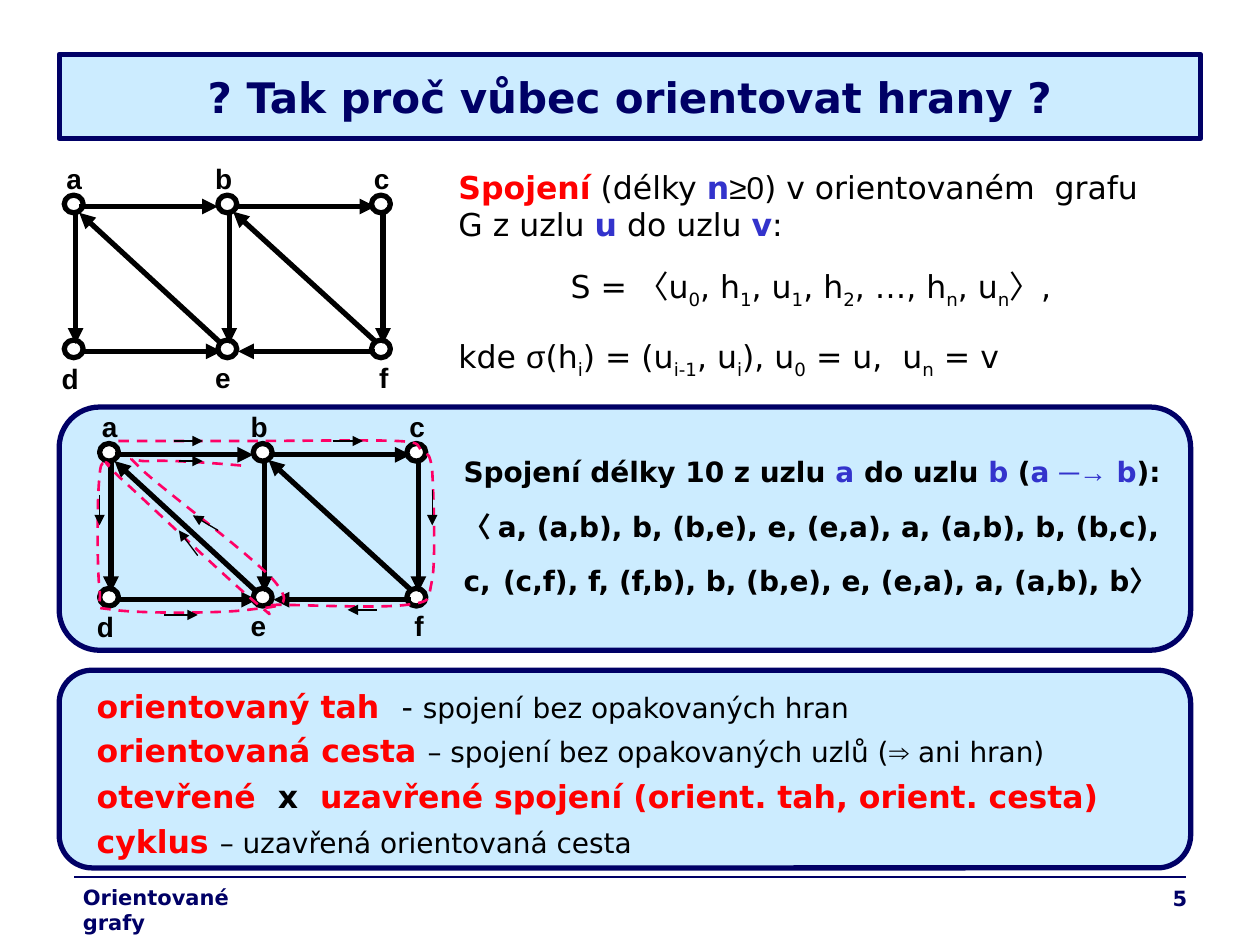
from typing import NamedTuple

from lxml.etree import SubElement
from pptx import Presentation
from pptx.dml.color import RGBColor
from pptx.enum.dml import MSO_LINE
from pptx.enum.shapes import MSO_CONNECTOR, MSO_SHAPE
from pptx.enum.text import MSO_ANCHOR, MSO_AUTO_SIZE, PP_ALIGN
from pptx.oxml.ns import qn
from pptx.util import Pt

COLORS = {"navy": "000066", "sky": "CCECFF", "red": "FF0000", "blue": "3333CC",
          "pink": "FF0066", "black": "000000", "white": "FFFFFF"}


class Run(NamedTuple):
    text: str
    color: str = "black"
    bold: bool = False
    size: float = 18
    font: str = "DejaVu Sans"


class Para(NamedTuple):
    runs: list[Run]
    before: float = 0
    after: float = 0
    align: PP_ALIGN = PP_ALIGN.LEFT


class Edge(NamedTuple):
    x1: float
    y1: float
    x2: float
    y2: float


class Label(NamedTuple):
    name: str
    x: float
    y: float


COLUMN_STEP, ROW_STEP = 87.8, 82.8
NODE_WIDTH, NODE_HEIGHT = 10.8, 10.1
GRAPH_EDGES = [
    Edge(3.2, 1.4, 82.4, 1.4), Edge(5.4, 84.2, 84.6, 84.2), Edge(94, 1.4, 172.4, 1.4),
    Edge(176.8, 5, 176.8, 79.9), Edge(88.9, 5, 88.9, 79.9), Edge(1.1, 5, 1.1, 79.9),
    Edge(172.4, 84.2, 94, 84.2), Edge(84.6, 79.9, 3.2, 5), Edge(172.4, 78.5, 91.1, 4.3),
]
GRAPH_LABELS = [
    Label("a", -11.2, -28.1), Label("b", 73.8, -28.1), Label("c", 164.5, -28.1),
    Label("d", -14, 86.4), Label("e", 73.8, 85.7), Label("f", 167.4, 85.7),
]
WALK_START = (67.7, 252)
WALK_CURVES = [
    (92.9, 252), (118.1, 252), (144.7, 252),
    (170.6, 252), (211, 251.3), (226.8, 252),
    (242.6, 252.7), (237.6, 254.9), (241.2, 257.8),
    (244.1, 260.6), (245.5, 257), (247, 269.3),
    (247.7, 281.5), (249.1, 319), (247, 331.2),
    (244.1, 344.2), (247, 343.4), (232.6, 345.6),
    (217.4, 347.8), (172.8, 345.6), (158.4, 345.6),
    (144.7, 345.6), (162.7, 357.8), (147.6, 345.6),
    (132.5, 333.4), (82.1, 285.1), (67.7, 272.2),
    (54, 258.5), (64.1, 266.4), (62.6, 266.4),
    (60.5, 266.4), (57.6, 259.9), (56.9, 272.2),
    (55.4, 283.7), (55.4, 324.7), (56.9, 337),
    (58.3, 349.9), (51.1, 346.3), (64.8, 348.5),
    (79.2, 350.6), (126, 350.6), (141.8, 348.5),
    (157.7, 346.3), (168.5, 347.8), (158.4, 334.1),
    (149, 321.1), (94.3, 280.8), (82.1, 269.3),
    (69.8, 257), (74.9, 264.2), (85, 263.5),
    (95, 262.8), (118.1, 264.2), (141.8, 266.4),
]
WALK_ARROWS = [
    Edge(99.4, 252, 115.9, 252), Edge(190.1, 252, 207.4, 252), Edge(247, 280.1, 247, 300.2),
    Edge(215.3, 348.5, 198.7, 348.5), Edge(113, 317.5, 102.2, 303.1),
    Edge(56.9, 283, 56.9, 300.2), Edge(93.6, 351.4, 113, 351.4),
    Edge(124.6, 303.1, 110.2, 294.5), Edge(102.2, 263.5, 115.9, 263.5),
]


def rgb(name: str) -> RGBColor:
    return RGBColor.from_string(COLORS[name])


def add_run(paragraph, text: str, *, color: str, bold: bool, size: float, font: str) -> None:
    for index, piece in enumerate(text.split("|")):
        if not piece:
            continue
        run = paragraph.add_run()
        run.text = piece
        run.font.name, run.font.size, run.font.bold = font, Pt(size), bold
        run.font.color.rgb = rgb(color)
        if index % 2:
            run._r.get_or_add_rPr().set("baseline", "-25000")


def write(frame, paras: list[Para]) -> None:
    frame.word_wrap = True
    frame.auto_size = MSO_AUTO_SIZE.NONE
    for index, para in enumerate(paras):
        paragraph = frame.add_paragraph() if index else frame.paragraphs[0]
        paragraph.alignment = para.align
        paragraph.space_before, paragraph.space_after = Pt(para.before), Pt(para.after)
        for run in para.runs:
            add_run(paragraph, **run._asdict())


def add_text(shapes, x: float, y: float, width: float, height: float, paras: list[Para]) -> None:
    write(shapes.add_textbox(Pt(x), Pt(y), Pt(width), Pt(height)).text_frame, paras)


def paint(shape, fill: str, line: str) -> None:
    shape.fill.solid()
    shape.fill.fore_color.rgb = rgb(fill)
    shape.line.color.rgb = rgb(line)
    shape.line.width = Pt(3)


def add_box(shapes, kind: MSO_SHAPE, x: float, y: float, width: float, height: float,
            fill: str, line: str) -> None:
    box = shapes.add_shape(kind, Pt(x), Pt(y), Pt(width), Pt(height))
    box.shadow.inherit = False
    paint(box, fill, line)


def add_edge(shapes, edge: Edge, width: float, color: str = "black", arrow: bool = True) -> None:
    connector = shapes.add_connector(MSO_CONNECTOR.STRAIGHT, *map(Pt, edge))
    connector.line.color.rgb = rgb(color)
    connector.line.width = Pt(width)
    if arrow:
        SubElement(connector.line._get_or_add_ln(), qn("a:tailEnd"), type="triangle")
    SubElement(connector._element.spPr, qn("a:effectLst"))


def add_graph(slide, x: float, y: float) -> None:
    shapes = slide.shapes.add_group_shape().shapes
    for row in range(2):
        for column in range(3):
            add_box(shapes, MSO_SHAPE.OVAL, x + column * COLUMN_STEP - NODE_WIDTH / 2,
                    y + row * ROW_STEP - NODE_HEIGHT / 2, NODE_WIDTH, NODE_HEIGHT,
                    "white", "black")
    for edge in GRAPH_EDGES:
        add_edge(shapes, Edge(x + edge.x1, y + edge.y1, x + edge.x2, y + edge.y2), 3)
    for label in GRAPH_LABELS:
        add_text(shapes, x + label.x, y + label.y, 25.2, 26.6,
                 [Para([Run(label.name, bold=True, size=16, font="Arial")], 10)])


def add_walk(shapes) -> None:
    builder = shapes.build_freeform(*map(Pt, WALK_START), scale=1.0)
    builder.add_line_segments([(Pt(x), Pt(y)) for x, y in WALK_CURVES], close=False)
    walk = builder.convert_to_shape()
    walk.shadow.inherit = False
    walk.fill.background()
    walk.line.color.rgb = rgb("pink")
    walk.line.width = Pt(1.5)
    walk.line.dash_style = MSO_LINE.DASH
    segments = list(walk._element.iter(qn("a:lnTo")))
    outline = segments[0].getparent()
    for start in range(0, len(segments), 3):
        curve = SubElement(outline, qn("a:cubicBezTo"))
        for segment in segments[start:start + 3]:
            curve.append(segment[0])
            outline.remove(segment)


def main() -> None:
    presentation = Presentation()
    presentation.slide_width, presentation.slide_height = Pt(720), Pt(540)
    slide = presentation.slides.add_slide(presentation.slide_layouts[5])
    shapes = slide.shapes

    title = shapes.title
    title.left, title.top, title.width, title.height = map(Pt, (33.8, 31, 652.3, 48.2))
    paint(title, "sky", "navy")
    title.text_frame.vertical_anchor = MSO_ANCHOR.MIDDLE
    write(title.text_frame, [Para([Run("? Tak proč vůbec orientovat hrany ?", "navy", True, 24)],
                                  align=PP_ALIGN.CENTER)])

    add_edge(shapes, Edge(42.5, 501.1, 677.5, 501.1), 0.75, "navy", arrow=False)
    for top, height in ((383, 113), (232.6, 139)):
        add_box(shapes, MSO_SHAPE.ROUNDED_RECTANGLE, 33.8, top, 646.6, height, "sky", "navy")

    add_text(shapes, 48.2, 388.8, 626.4, 106.6, [
        Para([Run("orientovaný tah  ", "red", True), Run("- "), Run("spojení", size=16),
              Run(" "), Run("bez opakovaných hran", size=16)], 4),
        Para([Run("orientovaná cesta ", "red", True),
              Run("– spojení bez opakovaných uzlů (", size=16),
              Run("⇒", size=16, font="Arial"), Run(" ani hran)", size=16)], 4),
        Para([Run("otevřené  ", "red", True), Run("x  ", bold=True),
              Run("uzavřené spojení (orient. tah, orient. cesta)", "red", True)], 4.5),
        Para([Run("cyklus ", "red", True), Run("– uzavřená orientovaná cesta", size=16)], 4),
    ])
    add_text(shapes, 40.3, 501.8, 124.6, 21.6,
             [Para([Run("Orientované grafy", "navy", True, 12)], 3)])
    add_text(shapes, 254.9, 92.2, 416.9, 128.9, [
        Para([Run("Spojení", "red", True), Run(" (délky "), Run("n", "blue", True),
              Run("≥0", font="Arial"), Run(") v orientovaném  grafu G z uzlu "),
              Run("u", "blue", True), Run(" do uzlu "), Run("v", "blue", True), Run(":")], 4.5),
        Para([Run("S = "), Run("〈", font="Arial"),
              Run("u|0|, h|1|, u|1|, h|2|, …, h|n|, u|n|"), Run("〉", font="Arial"), Run(",")],
             13.5, 2.2, PP_ALIGN.CENTER),
        Para([Run("kde "), Run("σ", font="Arial"),
              Run("(h|i|) = (u|i-1|, u|i|), u|0| = u,  u|n| = v")], 13.5, 2.2),
    ])
    for x, y in ((42.1, 116.6), (62.3, 258.5)):
        add_graph(slide, x, y)
    add_text(shapes, 257.8, 256.3, 428.4, 91.4, [
        Para([Run("Spojení délky 10 z uzlu ", "black", True, 16), Run("a", "blue", True, 16),
              Run(" do uzlu ", "black", True, 16), Run("b ", "blue", True, 16),
              Run("(", "black", True, 16), Run("a ", "blue", True, 16),
              Run("─→", "blue", True, 16, "Arial"), Run(" b", "blue", True, 16),
              Run("):", "black", True, 16)], 10),
        Para([Run("〈", "black", True, 16, "Arial"),
              Run(" a, (a,b), b, (b,e), e, (e,a), a, (a,b), b, (b,c), c,", "black", True, 16),
              Run(" ", "black", True, 28, "Times New Roman"),
              Run("(c,f), f, (f,b), b, (b,e), e, (e,a), a, (a,b), b", "black", True, 16),
              Run("〉", "black", True, 16, "Arial")], 12),
    ])
    add_walk(shapes)
    for arrow in WALK_ARROWS:
        add_edge(shapes, arrow, 0.75)
    add_text(shapes, 535.7, 502.6, 149.8, 25.9,
             [Para([Run("5", "navy", True, 12)], align=PP_ALIGN.RIGHT)])
    presentation.save("out.pptx")


if __name__ == "__main__":
    main()
